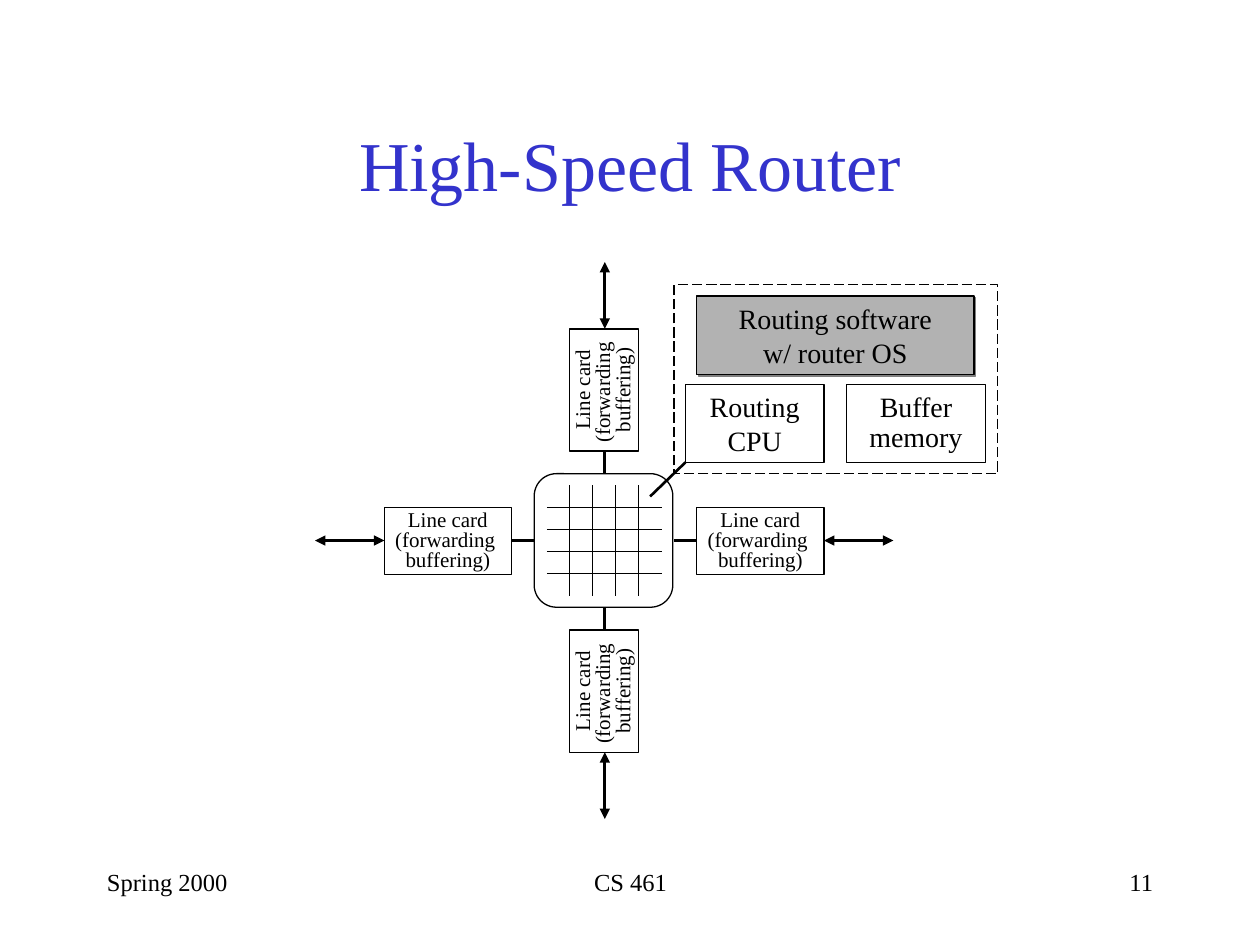
from dataclasses import dataclass

from lxml import etree
from pptx import Presentation
from pptx.dml.color import RGBColor
from pptx.enum.dml import MSO_LINE
from pptx.enum.shapes import MSO_CONNECTOR, MSO_SHAPE
from pptx.enum.text import MSO_ANCHOR, PP_ALIGN
from pptx.oxml.ns import qn
from pptx.util import Inches, Pt

STRAIGHT = MSO_CONNECTOR.STRAIGHT
RECTANGLE, ROUNDED = MSO_SHAPE.RECTANGLE, MSO_SHAPE.ROUNDED_RECTANGLE
LONG_DASH = MSO_LINE.LONG_DASH
TOP, MIDDLE = MSO_ANCHOR.TOP, MSO_ANCHOR.MIDDLE
LEFT, CENTER, RIGHT = PP_ALIGN.LEFT, PP_ALIGN.CENTER, PP_ALIGN.RIGHT


@dataclass(frozen=True)
class Theme:
    font: str = "Times New Roman"
    title_color: str = "3333CC"
    ink: str = "000000"
    software_fill: str = "B2B2B2"
    shadow: str = "808080"
    title_size: int = 40
    block_size: int = 16
    footer_size: int = 14
    card_size: int = 12
    thin: float = 0.75
    thick: float = 1.5


THEME = Theme()


@dataclass(frozen=True)
class Label:
    text: str
    size: int
    color: str = THEME.ink
    align: PP_ALIGN = CENTER
    anchor: MSO_ANCHOR = MIDDLE
    spacing: float = 1.0
    wrap: bool = True


@dataclass(frozen=True)
class Block:
    left: float
    top: float
    width: float
    height: float
    label: Label | None = None
    preset: MSO_SHAPE = RECTANGLE
    fill: str | None = None
    rotation: int = 0
    dash: MSO_LINE | None = None
    shadow: bool = False


@dataclass(frozen=True)
class Wire:
    start: tuple[float, float]
    end: tuple[float, float]
    weight: float = THEME.thick
    arrows: bool = False


def write_label(shape, label: Label) -> None:
    frame = shape.text_frame
    frame.word_wrap = label.wrap
    frame.vertical_anchor = label.anchor
    frame.text = label.text
    font_format = {"name": THEME.font, "size": Pt(label.size)}
    for paragraph in frame.paragraphs:
        paragraph.alignment = label.align
        paragraph.line_spacing = label.spacing
        for run in paragraph.runs:
            for name, value in font_format.items():
                setattr(run.font, name, value)
            run.font.color.rgb = RGBColor.from_string(label.color)


def style_line(line, weight: float) -> None:
    line.color.rgb = RGBColor.from_string(THEME.ink)
    line.width = Pt(weight)


def add_shadow(shape) -> None:
    effects = shape._element.spPr.find(qn("a:effectLst"))
    shadow = etree.SubElement(effects, qn("a:outerShdw"), dist=str(Pt(1.4)),
                              dir="2700000", algn="ctr", rotWithShape="0")
    etree.SubElement(shadow, qn("a:srgbClr"), val=THEME.shadow)


def add_block(slide, block: Block) -> None:
    shape = slide.shapes.add_shape(
        block.preset, Inches(block.left), Inches(block.top),
        Inches(block.width), Inches(block.height))
    shape.shadow.inherit = False
    shape.rotation = block.rotation
    if block.fill:
        shape.fill.solid()
        shape.fill.fore_color.rgb = RGBColor.from_string(block.fill)
    else:
        shape.fill.background()
    style_line(shape.line, THEME.thin)
    if block.dash:
        shape.line.dash_style = block.dash
    if block.shadow:
        add_shadow(shape)
    if block.label:
        write_label(shape, block.label)


def add_wire(slide, wire: Wire) -> None:
    ends = [Inches(value) for value in (*wire.start, *wire.end)]
    connector = slide.shapes.add_connector(STRAIGHT, *ends)
    style_line(connector.line, wire.weight)
    if wire.arrows:
        outline = connector.line._get_or_add_ln()
        for end in ("a:headEnd", "a:tailEnd"):
            etree.SubElement(outline, qn(end), type="triangle", w="med", len="med")
    etree.SubElement(connector._element.spPr, qn("a:effectLst"))


def add_text(slide, left: float, top: float, width: float, height: float,
             label: Label) -> None:
    box = slide.shapes.add_textbox(
        Inches(left), Inches(top), Inches(width), Inches(height))
    write_label(box, label)


def add_switch(slide) -> None:
    """Draw the switching fabric: four rows crossing four columns."""
    left, top, width, height = 4.34, 3.85, 0.91, 0.88
    for step in range(1, 5):
        x, y = left + step * width / 5, top + step * height / 5
        add_wire(slide, Wire((left, y), (left + width, y), THEME.thin))
        add_wire(slide, Wire((x, top), (x, top + height), THEME.thin))
    add_block(slide, Block(4.24, 3.76, 1.1, 1.06, preset=ROUNDED))


def add_line_cards(slide) -> None:
    label = Label("Line card\n(forwarding \nbuffering)", THEME.card_size,
                  spacing=0.8, wrap=False)
    for left in (3.05, 5.53):
        add_block(slide, Block(left, 4.03, 1.01, 0.53, label))
    for top in (2.82, 5.21):
        add_block(slide, Block(4.31, top, 0.97, 0.55, label, rotation=270))

    # Short links to the switch, then two-way links to the network
    center_x, center_y = 4.8, 4.29
    for arrows, columns, rows in (
            (False, ((4.06, 4.24), (5.35, 5.53)), ((3.58, 3.76), (4.82, 5.0))),
            (True, ((2.5, 3.05), (6.54, 7.09)), ((2.08, 2.61), (5.97, 6.5)))):
        for start, end in columns:
            add_wire(slide, Wire((start, center_y), (end, center_y), arrows=arrows))
        for start, end in rows:
            add_wire(slide, Wire((center_x, start), (center_x, end), arrows=arrows))


def add_processor(slide) -> None:
    size = THEME.block_size
    blocks = (
        Block(5.44, 3.05, 1.1, 0.62, Label("Routing\nCPU", size)),
        Block(6.72, 3.05, 1.1, 0.62, Label("Buffer\nmemory", size, spacing=0.9)),
        Block(5.53, 2.35, 2.2, 0.62, Label("Routing software\nw/ router OS", size),
              fill=THEME.software_fill, shadow=True),
        Block(5.35, 2.26, 2.57, 1.5, dash=LONG_DASH),
    )
    for block in blocks:
        add_block(slide, block)
    add_wire(slide, Wire((5.16, 3.94), (5.44, 3.67)))


def add_footer(slide) -> None:
    for left, width, text, align in ((0.75, 2.08, "Spring 2000", LEFT),
                                     (3.42, 3.17, "CS 461", CENTER),
                                     (7.17, 2.08, "11", RIGHT)):
        add_text(slide, left, 6.83, width, 0.5,
                 Label(text, THEME.footer_size, align=align, anchor=TOP))


def main() -> None:
    presentation = Presentation()
    presentation.slide_width, presentation.slide_height = Inches(10), Inches(7.5)
    slide = presentation.slides.add_slide(presentation.slide_layouts[6])

    # Title
    add_text(slide, 0.75, 0.67, 8.5, 1.25,
             Label("High-Speed Router", THEME.title_size, THEME.title_color))
    # Router diagram
    add_switch(slide)
    add_line_cards(slide)
    add_processor(slide)
    # Footer
    add_footer(slide)

    presentation.save("out.pptx")


if __name__ == "__main__":
    main()
